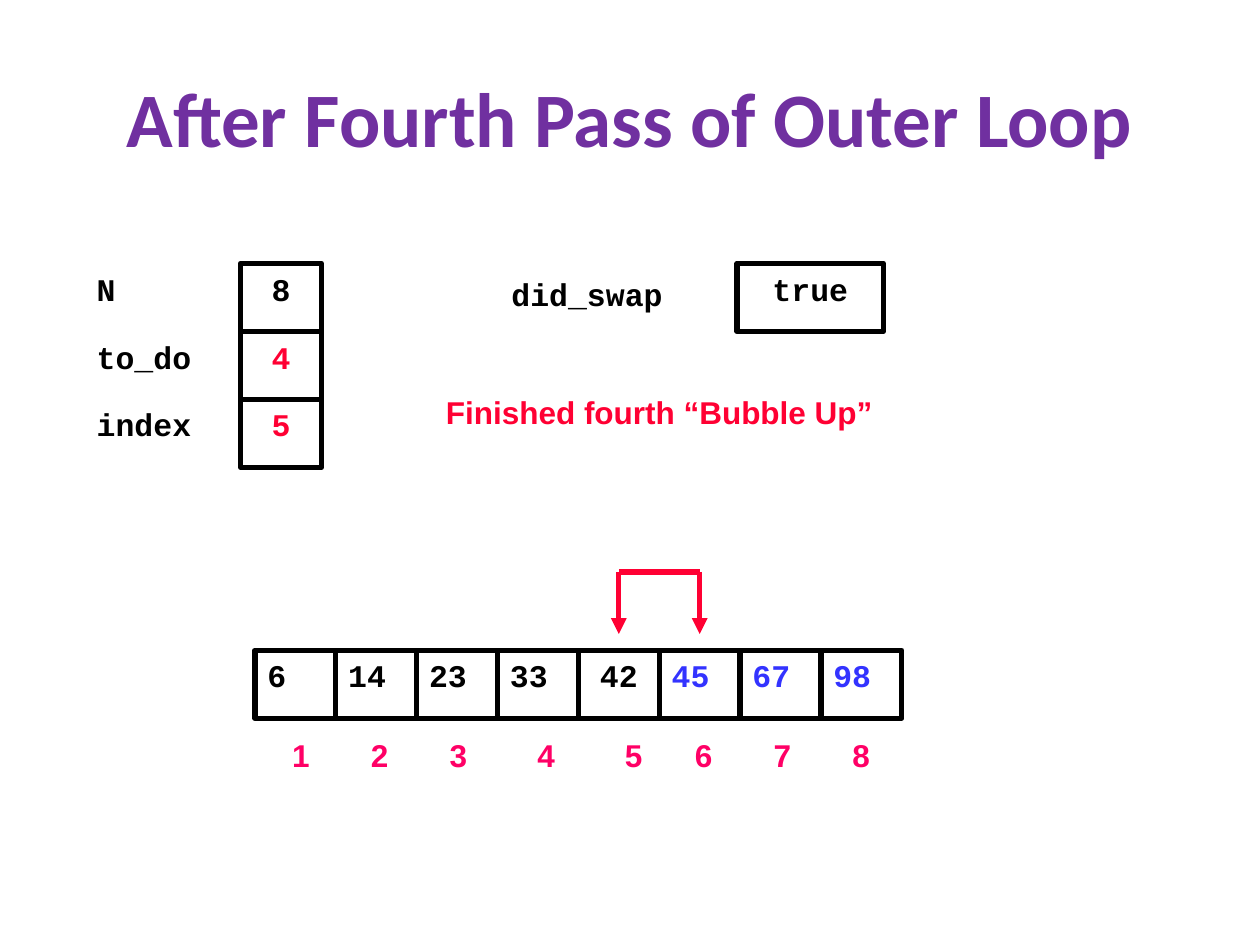
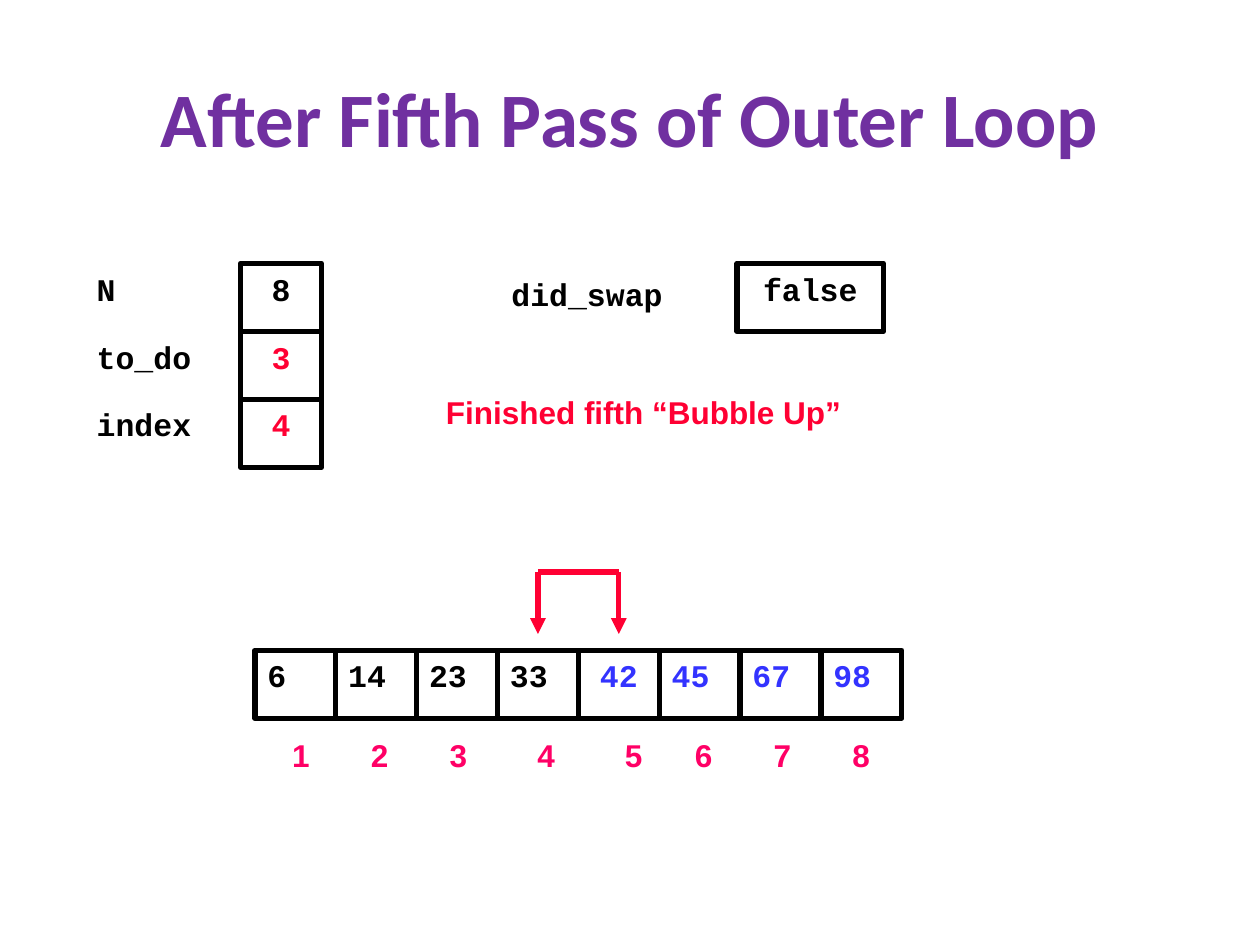
import pptx
import pptx.util
import pptx.dml.color
import pptx.enum.shapes
import pptx.enum.text
import pptx.oxml
import pptx.oxml.ns
import lxml.etree

Cm, Pt = pptx.util.Cm, pptx.util.Pt
ALIGN = pptx.enum.text.PP_ALIGN

HUES = {"title": "7030A0", "ink": "000000", "alert": "FF0033",
        "done": "3333FF", "index": "FF0066"}
CODE, SANS = "Courier New", "Arial"

NUMS = [6, 14, 23, 33, 42, 45, 67, 98]
MID = 4
SPACES = [7, 7, 8, 8, 6, 7, 7]
PASSES = [
    {"title": "After Fourth Pass of Outer Loop",
     "vars": [("N", 8, "ink"), ("to_do", 4, "alert"), ("index", 5, "alert")],
     "swap": "true", "note": "Finished fourth “Bubble Up”", "sorted": 5},
    {"title": "After Fifth Pass of Outer Loop",
     "vars": [("N", 8, "ink"), ("to_do", 3, "alert"), ("index", 4, "alert")],
     "swap": "false", "note": "Finished fifth “Bubble Up”", "sorted": 4},
]

CELL, HIGH = 1.63, 1.37
ROW_X, ROW_Y = 5.14, 13.11
VAR_X, VAR_Y = 4.85, 5.31
BAR_Y, TIP_Y = 11.53, 12.78
SPACE = 0.1765


def rgb(hue):
    return pptx.dml.color.RGBColor.from_string(HUES[hue])


def style(para, hue, face=CODE, size=18, align=ALIGN.LEFT):
    para.alignment = align
    font = para.font
    font.name, font.size, font.bold = face, Pt(size), True
    font.color.rgb = rgb(hue)


def add_cell(slide, text, x, y, wide=CELL, hue="ink", align=ALIGN.CENTER):
    box = slide.shapes.add_shape(pptx.enum.shapes.MSO_SHAPE.RECTANGLE,
                                 Cm(x), Cm(y), Cm(wide), Cm(HIGH))
    box.shadow.inherit = False
    box.fill.background()
    box.line.color.rgb = rgb("ink")
    box.line.width = Pt(3)
    frame = box.text_frame
    frame.word_wrap = False
    frame.vertical_anchor = pptx.enum.text.MSO_ANCHOR.TOP
    frame.text = str(text)
    style(frame.paragraphs[0], hue, align=align)


def add_label(slide, text, x, y, wide, hue="ink", face=CODE, stops=()):
    box = slide.shapes.add_textbox(Cm(x), Cm(y), Cm(wide), Cm(1.02))
    frame = box.text_frame
    frame.word_wrap = bool(stops)
    frame.auto_size = pptx.enum.text.MSO_AUTO_SIZE.SHAPE_TO_FIT_TEXT
    frame.text = text
    para = frame.paragraphs[0]
    if stops:
        tabs = lxml.etree.SubElement(para._p.get_or_add_pPr(),
                                     pptx.oxml.ns.qn("a:tabLst"))
        for stop in stops:
            lxml.etree.SubElement(tabs, pptx.oxml.ns.qn("a:tab"),
                                  pos=str(Cm(stop)), algn="l")
    style(para, hue, face)


def add_line(group, x1, y1, x2, y2, arrow=False):
    line = group.shapes.add_connector(pptx.enum.shapes.MSO_CONNECTOR.STRAIGHT,
                                      Cm(x1), Cm(y1), Cm(x2), Cm(y2))
    line.line.color.rgb = rgb("alert")
    line.line.width = Pt(3)
    if arrow:
        lxml.etree.SubElement(line.line._get_or_add_ln(),
                              pptx.oxml.ns.qn("a:tailEnd"), type="triangle")
    lxml.etree.SubElement(line._element.spPr, pptx.oxml.ns.qn("a:effectLst"))


def add_title(slide, text):
    title = slide.shapes.title
    title.left, title.top, title.width, title.height = map(
        Cm, (1.27, 0.76, 22.86, 3.18))
    title.text_frame.text = text
    title.text_frame.vertical_anchor = pptx.enum.text.MSO_ANCHOR.MIDDLE
    style(title.text_frame.paragraphs[0], "title", "Calibri", 44, ALIGN.CENTER)


def add_vars(slide, step):
    for i, (name, value, hue) in enumerate(step["vars"]):
        y = VAR_Y + i * HIGH
        add_label(slide, name, 1.7, y, 2.41)
        add_cell(slide, value, VAR_X, y, hue=hue)
    add_label(slide, "did_swap", 10.06, 5.41, 5.08)
    add_cell(slide, step["swap"], 14.86, VAR_Y, 2.95)
    add_label(slide, step["note"], 8.74, 7.8, 9.12, "alert", SANS)


def add_row(slide, done):
    for i, num in enumerate(NUMS):
        add_cell(slide, num, ROW_X + i * CELL, ROW_Y,
                 hue="done" if i >= done else "ink",
                 align=ALIGN.CENTER if i == MID else ALIGN.LEFT)
    stops = [sum(n + 2 for n in SPACES[:i + 1]) * SPACE
             for i in range(len(SPACES))]
    marks = "\t".join(str(i + 1) for i in range(len(NUMS)))
    add_label(slide, marks, 5.64, 14.71, 12.4, "index", SANS, stops)


def add_swap(slide, done):
    group = slide.shapes.add_group_shape()
    left = ROW_X + (done - 0.5) * CELL
    right = left + CELL
    for x in (left, right):
        add_line(group, x, BAR_Y, x, TIP_Y, True)
    add_line(group, left, BAR_Y, right, BAR_Y)


def main():
    deck = pptx.Presentation()
    deck.slide_width, deck.slide_height = Cm(25.4), Cm(19.05)
    for step in PASSES:
        slide = deck.slides.add_slide(deck.slide_layouts[5])
        add_title(slide, step["title"])
        add_row(slide, step["sorted"])
        add_vars(slide, step)
        add_swap(slide, step["sorted"])
    deck.save("out.pptx")


if __name__ == "__main__":
    main()
